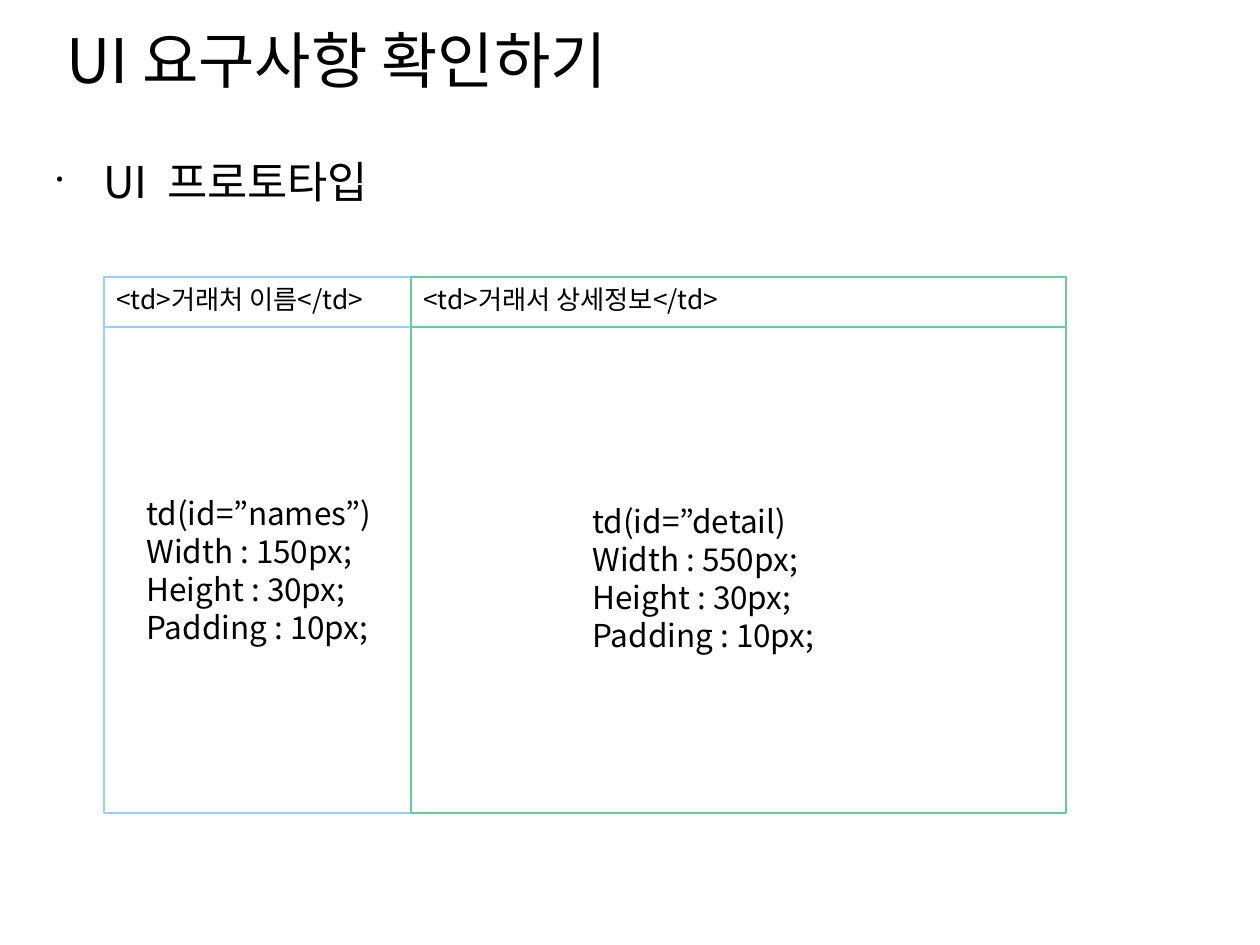
from dataclasses import dataclass

from lxml import etree
from pptx import Presentation
from pptx import util as u
from pptx.dml.color import RGBColor
from pptx.enum import shapes, text
from pptx.oxml import ns

PX = 914400 / 126


@dataclass(frozen=True)
class Theme:
    font: str = "Noto Sans CJK KR"
    ink: str = "000000"
    paper: str = "FFFFFF"
    names_line: str = "99CCFF"
    detail_line: str = "66CC99"
    title: int = 35
    heading: int = 25
    code: int = 18
    label: int = 15


THEME = Theme()


def px(length):
    return u.Emu(round(length * PX))


def color(code):
    return RGBColor.from_string(code)


def add_span(para, words, size, tracking=0):
    span = para.add_run()
    span.text = words
    span.font.size = u.Pt(size)
    span.font.name = THEME.font
    span.font.color.rgb = color(THEME.ink)
    props = span.font._element
    if tracking:
        props.set("spc", str(round(tracking * 100)))
    etree.SubElement(props, ns.qn("a:ea"), typeface=THEME.font)


def add_text(slide, left, top, width, height, lines, size, wrap=True):
    box = slide.shapes.add_textbox(*map(px, (left, top, width, height)))
    frame = box.text_frame
    frame.word_wrap = wrap
    frame.auto_size = text.MSO_AUTO_SIZE.NONE
    for index, line in enumerate(lines):
        para = frame.add_paragraph() if index else frame.paragraphs[0]
        add_span(para, line, size)
    return box


def add_bullet(para, indent, hanging, percent):
    props = para._p.get_or_add_pPr()
    props.set("marL", str(px(indent)))
    props.set("indent", str(px(-hanging)))
    tint = etree.SubElement(props, ns.qn("a:buClr"))
    etree.SubElement(tint, ns.qn("a:srgbClr"), val=THEME.ink)
    etree.SubElement(props, ns.qn("a:buSzPct"), val=str(percent * 1000))
    etree.SubElement(props, ns.qn("a:buChar"), char="•")


def add_heading(slide):
    box = add_text(slide, 43, 149, 1168, 786, ["UI"], THEME.heading)
    para = box.text_frame.paragraphs[0]
    add_bullet(para, 48, 47, 45)
    add_span(para, " ", THEME.heading, tracking=5.6)
    add_span(para, "프로토타입", THEME.heading)


def add_cell(slide, left, top, width, height, line):
    cell = slide.shapes.add_shape(
        shapes.MSO_SHAPE.RECTANGLE, *map(px, (left, top, width, height)))
    cell.shadow.inherit = False
    cell.fill.solid()
    cell.fill.fore_color.rgb = color(THEME.paper)
    cell.line.color.rgb = color(line)
    cell.line.width = u.Pt(0)


def css_lines(selector, width):
    return [selector, f"Width : {width}px;", "Height : 30px;", "Padding : 10px;"]


def main():
    deck = Presentation()
    deck.slide_width, deck.slide_height = px(1260), px(945)
    slide = deck.slides.add_slide(deck.slide_layouts[6])

    # Title and heading
    add_heading(slide)
    add_text(slide, 54, 16, 1056, 110, ["UI 요구사항 확인하기"], THEME.title)

    # Prototype frame: full columns, then their header cells
    top, body_height, header_height = 277, 536, 50
    columns = [
        (104, 307, THEME.names_line, "<td>거래처 이름</td>"),
        (411, 655, THEME.detail_line, "<td>거래서 상세정보</td>"),
    ]
    for height in (body_height, header_height):
        for left, width, line, _ in columns:
            add_cell(slide, left, top, width, height, line)
    for left, width, _, label in columns:
        add_text(slide, left, top, width, header_height, [label], THEME.label)

    # Cell styles
    for left, y, selector, width in (
        (134, 488, "td(id=”names”)", 150),
        (580, 496, "td(id=”detail)", 550),
    ):
        add_text(slide, left, y, 258, 184, css_lines(selector, width),
                 THEME.code, wrap=False)

    deck.save("out.pptx")


if __name__ == "__main__":
    main()
